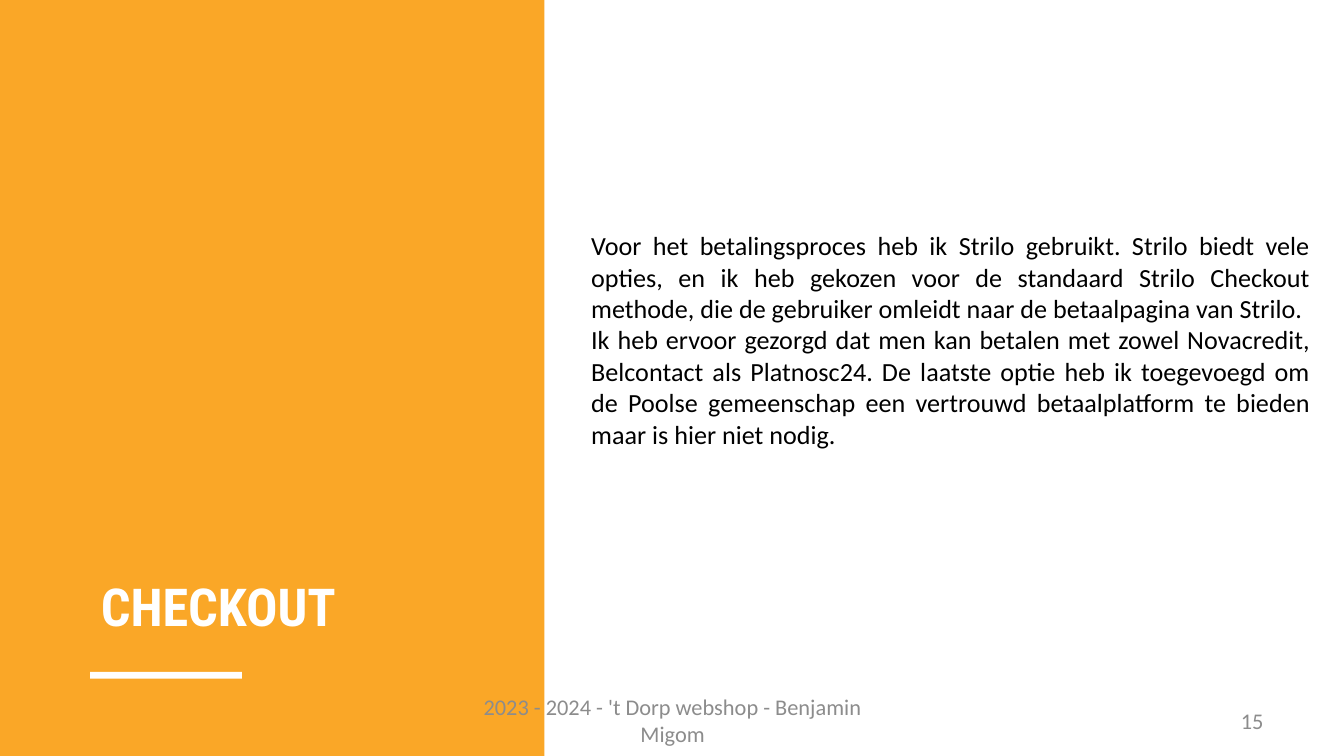
from pptx import Presentation
from pptx.dml.color import RGBColor
from pptx.enum.shapes import MSO_SHAPE as Shape
from pptx.enum.text import MSO_ANCHOR as Anchor, MSO_AUTO_SIZE as AutoSize, PP_ALIGN as Align
from pptx.util import Inches, Pt

WIDTH = 10
HEIGHT = WIDTH * 9 / 16
ORANGE, WHITE, GREY, BLACK = "FAA727", "FFFFFF", "8C8C8C", "000000"

BODY = [
    "Voor het betalingsproces heb ik Strilo gebruikt. Strilo biedt vele opties, "
    "en ik heb gekozen voor de standaard Strilo Checkout methode, die de gebruiker "
    "omleidt naar de betaalpagina van Strilo. ",
    "Ik heb ervoor gezorgd dat men kan betalen met zowel Novacredit, Belcontact als "
    "Platnosc24. De laatste optie heb ik toegevoegd om de Poolse gemeenschap een "
    "vertrouwd betaalplatform te bieden maar is hier niet nodig.",
]


def color(value):
    return RGBColor.from_string(value)


def add_bar(slide, left, top, width, height, fill):
    bar = slide.shapes.add_shape(
        Shape.RECTANGLE, Inches(left), Inches(top), Inches(width), Inches(height))
    bar.shadow.inherit = False
    bar.fill.solid()
    bar.fill.fore_color.rgb = color(fill)
    bar.line.fill.background()


def write(box, paragraphs, size, ink, font="Calibri", align=Align.LEFT,
          anchor=Anchor.TOP, bold=False):
    frame = box.text_frame
    frame.word_wrap = True
    frame.auto_size = AutoSize.NONE
    frame.vertical_anchor = anchor
    for index, text in enumerate(paragraphs):
        para = frame.add_paragraph() if index else frame.paragraphs[0]
        para.alignment = align
        span = para.add_run()
        span.text = text
        span.font.name = font
        span.font.size = Pt(size)
        span.font.bold = bold
        span.font.color.rgb = color(ink)


def add_text(slide, left, top, width, height, paragraphs, size, ink, **style):
    box = slide.shapes.add_textbox(
        Inches(left), Inches(top), Inches(width), Inches(height))
    write(box, paragraphs, size, ink, **style)


def set_title(slide, left, top, width, height, text):
    """Place the title in front of the shapes added so far."""
    title = slide.shapes.title
    title.left, title.top = Inches(left), Inches(top)
    title.width, title.height = Inches(width), Inches(height)
    write(title, [text], 28, WHITE, font="Roboto Condensed", bold=True)
    title.element.getparent().append(title.element)


def main():
    deck = Presentation()
    deck.slide_width, deck.slide_height = Inches(WIDTH), Inches(HEIGHT)
    slide = deck.slides.add_slide(deck.slide_layouts[5])

    add_bar(slide, 0, 0, 4.05, HEIGHT, ORANGE)
    set_title(slide, 0.65, 4.22, 4.17, 0.57, "CHECKOUT")
    add_bar(slide, 0.67, 5, 1.13, 0.05, WHITE)
    add_text(slide, 7.17, 5.21, 2.33, 0.3, ["15"], 12, GREY,
             align=Align.RIGHT, anchor=Anchor.MIDDLE)
    add_text(slide, 3.42, 5.21, 3.17, 0.3,
             ["2023 - 2024 - 't Dorp webshop - Benjamin Migom"], 12, GREY,
             align=Align.CENTER, anchor=Anchor.MIDDLE)
    add_text(slide, 4.3, 1.66, 5.55, 1.73, BODY, 14, BLACK, align=Align.JUSTIFY)

    deck.save("out.pptx")


if __name__ == "__main__":
    main()
